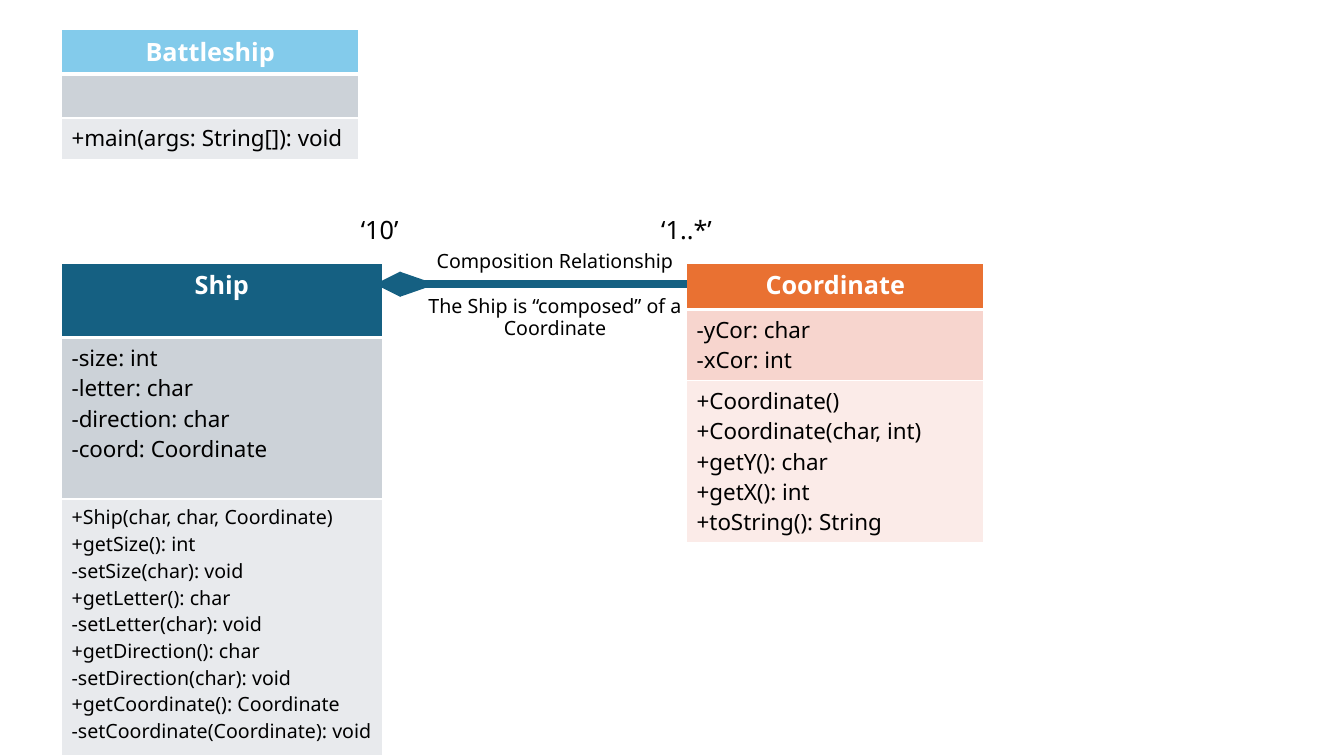
from lxml.etree import SubElement
from pptx import Presentation
from pptx.dml.color import RGBColor
from pptx.enum.shapes import MSO_CONNECTOR, MSO_SHAPE
from pptx.enum.text import MSO_AUTO_SIZE, PP_ALIGN
from pptx.oxml import parse_xml
from pptx.oxml.ns import nsdecls, qn
from pptx.util import Inches, Pt

FONT = "Noto Sans"
WHITE, BLACK, TEAL = "FFFFFF", "000000", "156082"


def color(value):
    return RGBColor.from_string(value)


def write(frame, lines, size, value=BLACK, bold=False, align=PP_ALIGN.LEFT, spacing=None):
    for index, line in enumerate(lines):
        paragraph = frame.add_paragraph() if index else frame.paragraphs[0]
        paragraph.alignment = align
        paragraph.line_spacing = spacing
        run = paragraph.add_run()
        run.text = line
        run.font.name = FONT
        run.font.size = Pt(size)
        run.font.bold = bold
        run.font.color.rgb = color(value)


presentation = Presentation()
presentation.slide_width = Inches(13.33)
presentation.slide_height = Inches(7.5)
slide = presentation.slides.add_slide(presentation.slide_layouts[6])
shapes = slide.shapes

classes = [
    ("Battleship", 0.61, 0.29, 2.95, (0.44, 0.44, 0.41), ("83CBEB", "CCD2D8", "E8EAED"),
     [], ["+main(args: String[]): void"], 16),
    ("Ship", 0.61, 2.61, 3.18, (0.74, 1.6, 2.55), (TEAL, "CCD2D8", "E8EAED"),
     ["-size: int", "-letter: char", "-direction: char", "-coord: Coordinate"],
     ["+Ship(char, char, Coordinate)", "+getSize(): int", "-setSize(char): void",
      "+getLetter(): char", "-setLetter(char): void", "+getDirection(): char",
      "-setDirection(char): void", "+getCoordinate(): Coordinate",
      "-setCoordinate(Coordinate): void"], 14),
    ("Coordinate", 6.81, 2.61, 2.95, (0.46, 0.7, 1.61), ("E97132", "F7D5CE", "FBEBE8"),
     ["-yCor: char", "-xCor: int"],
     ["+Coordinate()", "+Coordinate(char, int)", "+getY(): char", "+getX(): int",
      "+toString(): String"], 16),
]

for name, left, top, width, heights, fills, fields, methods, method_size in classes:
    table = shapes.add_table(3, 1, Inches(left), Inches(top), Inches(width),
                             Inches(sum(heights))).table
    for row, (height, fill) in enumerate(zip(heights, fills)):
        table.rows[row].height = Inches(height)
        cell = table.cell(row, 0)
        properties = cell._tc.get_or_add_tcPr()
        for side in ("lnL", "lnR", "lnT", "lnB"):
            header_edge = (row, side) in ((0, "lnB"), (1, "lnT"))
            properties.append(parse_xml(
                f'<a:{side} {nsdecls("a")} w="{Pt(3 if header_edge else 1)}"><a:solidFill>'
                f'<a:srgbClr val="{WHITE}"/></a:solidFill></a:{side}>'))
        cell.fill.solid()
        cell.fill.fore_color.rgb = color(fill)
    write(table.cell(0, 0).text_frame, [name], 18, WHITE, True, PP_ALIGN.CENTER)
    write(table.cell(1, 0).text_frame, fields, 16)
    write(table.cell(2, 0).text_frame, methods, method_size)

composition = shapes.add_connector(MSO_CONNECTOR.STRAIGHT, Inches(6.81), Inches(2.82),
                                   Inches(3.72), Inches(2.82))
composition.line.color.rgb = color(TEAL)
composition.line.width = Pt(6)
SubElement(composition.line._get_or_add_ln(), qn("a:tailEnd"), type="triangle")
SubElement(composition._element.spPr, qn("a:effectLst"))

diamond_half = shapes.add_shape(MSO_SHAPE.ISOSCELES_TRIANGLE, Inches(4.02), Inches(2.64),
                                Inches(0.25), Inches(0.36))
diamond_half.rotation = 90
diamond_half.shadow.inherit = False
diamond_half.fill.solid()
diamond_half.fill.fore_color.rgb = color(TEAL)
diamond_half.line.fill.background()

captions = [
    (["Composition Relationship", "The Ship is “composed” of a Coordinate"],
     4.15, 2.45, 2.71, 1.04, 14, True, PP_ALIGN.CENTER),
    (["‘1..*’"], 6.46, 2.11, 0.7, 0.4, 18, False, PP_ALIGN.LEFT),
    (["‘10’"], 3.48, 2.11, 0.61, 0.4, 18, False, PP_ALIGN.LEFT),
]

for lines, left, top, width, height, size, wrap, align in captions:
    caption = shapes.add_textbox(Inches(left), Inches(top), Inches(width),
                                 Inches(height)).text_frame
    caption.word_wrap = wrap
    caption.auto_size = MSO_AUTO_SIZE.SHAPE_TO_FIT_TEXT
    write(caption, lines, size, align=align, spacing=0.9)
    for later in caption.paragraphs[1:]:
        later.space_before = Pt(17)

presentation.save("out.pptx")
